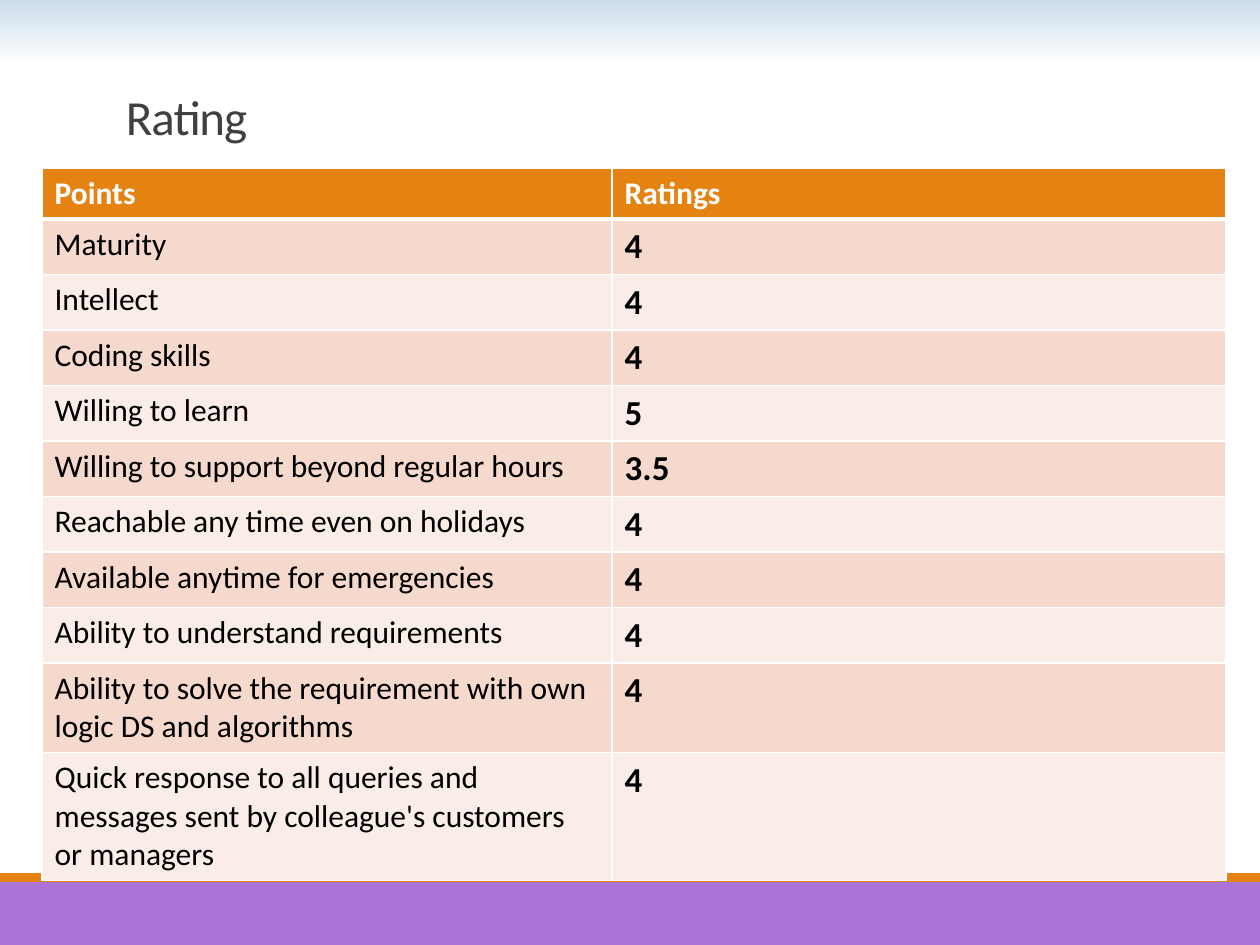
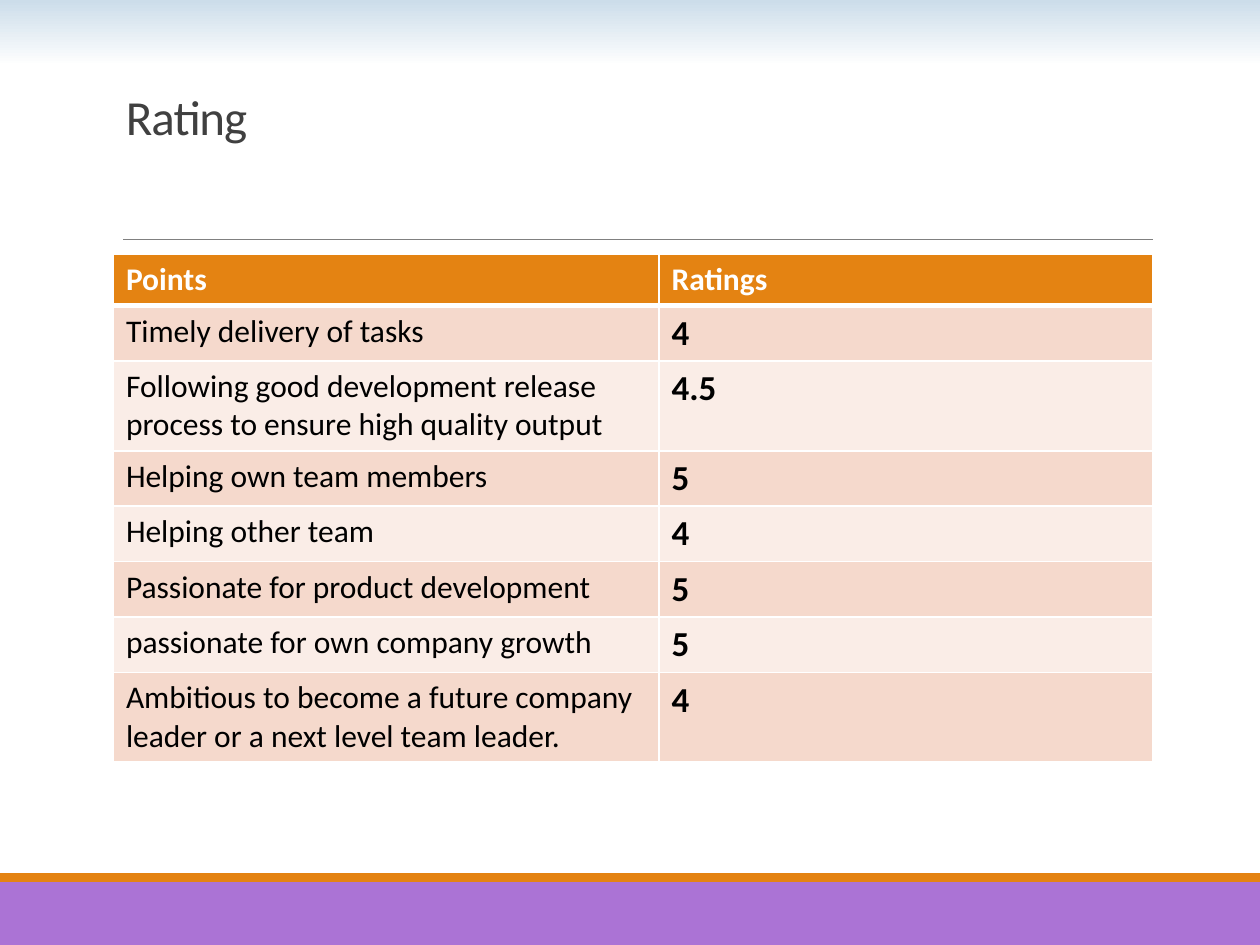
from lxml.etree import SubElement
from pptx import Presentation
from pptx.dml.color import RGBColor
from pptx.enum.shapes import MSO_CONNECTOR as Connector, MSO_SHAPE as Shape
from pptx.enum.text import MSO_ANCHOR as Anchor
from pptx.oxml.ns import qn
from pptx.util import Pt

FONT = "Calibri"
WIDTH, HEIGHT = 720, 540
SKY, WHITE, BLACK = "CCDDEA", "FFFFFF", "000000"
ORANGE, PURPLE = "E48312", "AB73D5"
RULE_GRAY, TITLE_GRAY = "808080", "404040"
ROW_FILLS = ["F5D9CC", "FAEDE7"]
HEADER_HEIGHT = 29.2
LINE_HEIGHTS = {1: 31.7, 2: 51.2, 3: 73.1}

WORK_RATINGS = [
    ("Maturity", "4", 1),
    ("Intellect", "4", 1),
    ("Coding skills", "4", 1),
    ("Willing to learn", "5", 1),
    ("Willing to support beyond regular hours", "3.5", 1),
    ("Reachable any time even on holidays", "4", 1),
    ("Available anytime for emergencies", "4", 1),
    ("Ability to understand requirements", "4", 1),
    ("Ability to solve the requirement with own logic DS and algorithms", "4", 2),
    ("Quick response to all queries and messages sent by colleague's "
     "customers or managers", "4", 3),
]
TEAM_RATINGS = [
    ("Timely delivery of tasks", "4", 1),
    ("Following good development release process to ensure high quality output",
     "4.5", 2),
    ("Helping own team members", "5", 1),
    ("Helping other team", "4", 1),
    ("Passionate for product development", "5", 1),
    ("passionate for own company growth", "5", 1),
    ("Ambitious to become a future company leader or a next level team leader.",
     "4", 2),
]


def color(value):
    return RGBColor.from_string(value)


def write(frame, text, size=18, ink=BLACK, bold=False, line_spacing=None, tracking=None):
    paragraph = frame.paragraphs[0]
    paragraph.line_spacing = line_spacing
    run = paragraph.add_run()
    run.text = text
    run.font.name = FONT
    run.font.size = Pt(size)
    run.font.bold = bold
    run.font.color.rgb = color(ink)
    if tracking is not None:
        run.font._element.set("spc", str(round(tracking * 100)))


def add_background(slide):
    fill = slide.background.fill
    fill.gradient()
    fill.gradient_angle = 270
    for stop, position, tint in zip(fill.gradient_stops, (0, 0.07), (SKY, WHITE)):
        stop.position = position
        stop.color.rgb = color(tint)


def add_band(slide, top, height, tint):
    band = slide.shapes.add_shape(Shape.RECTANGLE, 0, Pt(top), Pt(WIDTH), Pt(height))
    band.shadow.inherit = False
    band.fill.solid()
    band.fill.fore_color.rgb = color(tint)
    band.line.fill.background()


def add_rule(slide, left, right, top):
    rule = slide.shapes.add_connector(
        Connector.STRAIGHT, Pt(left), Pt(top), Pt(right), Pt(top))
    rule.line.color.rgb = color(RULE_GRAY)
    rule.line.width = Pt(0.5)
    SubElement(rule._element.spPr, qn("a:effectLst"))


def add_title(slide, text):
    box = slide.shapes.add_textbox(Pt(64.8), Pt(22.3), Pt(594), Pt(114.5))
    frame = box.text_frame
    frame.word_wrap = True
    frame.vertical_anchor = Anchor.BOTTOM
    frame.margin_bottom = Pt(53.4)
    write(frame, text, size=28, ink=TITLE_GRAY, line_spacing=0.85, tracking=-0.5)


def add_border(cell, side, width):
    properties = cell._tc.get_or_add_tcPr()
    line = SubElement(properties, qn(f"a:ln{side}"), w=str(Pt(width)))
    fill = SubElement(line, qn("a:solidFill"))
    SubElement(fill, qn("a:srgbClr"), val=WHITE)


def fill_cell(cell, text, tint, top=1, bottom=1, **text_format):
    for side, width in (("L", 1), ("R", 1), ("T", top), ("B", bottom)):
        add_border(cell, side, width)
    cell.fill.solid()
    cell.fill.fore_color.rgb = color(tint)
    write(cell.text_frame, text, **text_format)


def add_ratings_table(slide, left, top, column_widths, ratings):
    heights = [HEADER_HEIGHT] + [LINE_HEIGHTS[lines] for _, _, lines in ratings]
    table = slide.shapes.add_table(
        len(heights), 2, Pt(left), Pt(top),
        Pt(sum(column_widths)), Pt(sum(heights))).table
    for column, width in zip(table.columns, column_widths):
        column.width = Pt(width)
    for row, height in zip(table.rows, heights):
        row.height = Pt(height)
    for index, heading in enumerate(("Points", "Ratings")):
        fill_cell(table.cell(0, index), heading, ORANGE, bottom=3, ink=WHITE, bold=True)
    for index, (point, rating, _) in enumerate(ratings):
        tint = ROW_FILLS[index % 2]
        top_border = 3 if index == 0 else 1
        fill_cell(table.cell(index + 1, 0), point, tint, top=top_border)
        fill_cell(table.cell(index + 1, 1), rating, tint, top=top_border,
                  size=20, bold=True)


def add_rating_slide(presentation, left, top, column_widths, ratings):
    slide = presentation.slides.add_slide(presentation.slide_layouts[6])
    add_background(slide)
    add_band(slide, 504, 36, PURPLE)
    add_band(slide, 499, 5, ORANGE)
    add_rule(slide, 70.5, 659, 136.8)
    add_title(slide, "Rating")
    add_ratings_table(slide, left, top, column_widths, ratings)


def main():
    presentation = Presentation()
    presentation.slide_width = Pt(WIDTH)
    presentation.slide_height = Pt(HEIGHT)
    add_rating_slide(presentation, 24, 96, (325.8, 350.8), WORK_RATINGS)
    add_rating_slide(presentation, 64.8, 145.5, (311.8, 282.2), TEAM_RATINGS)
    presentation.save("out.pptx")


if __name__ == "__main__":
    main()
